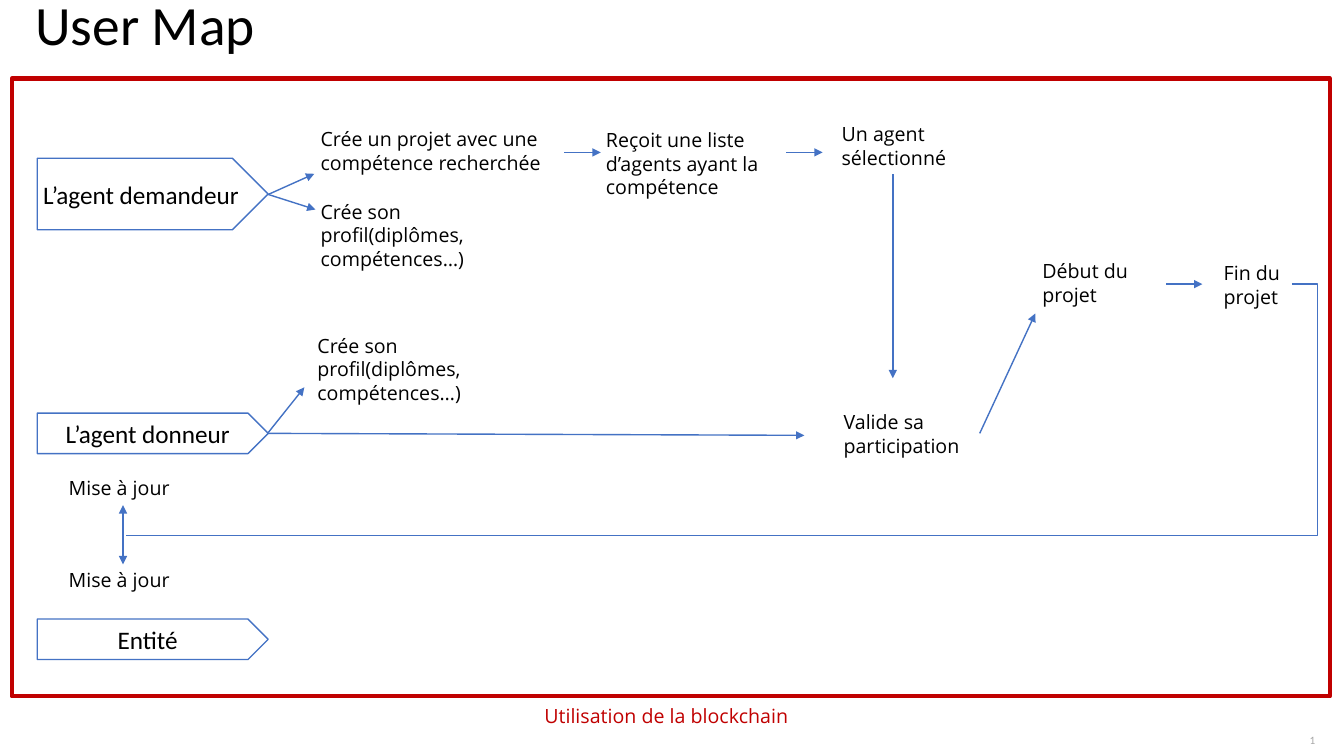
import pptx
import pptx.util
import pptx.dml.color
import pptx.enum.shapes
import pptx.enum.text
import pptx.oxml
import pptx.oxml.ns

Cm, Pt = pptx.util.Cm, pptx.util.Pt
RGBColor = pptx.dml.color.RGBColor
SHAPE = pptx.enum.shapes.MSO_SHAPE
CONNECTOR = pptx.enum.shapes.MSO_CONNECTOR
ALIGN = pptx.enum.text.PP_ALIGN
ANCHOR = pptx.enum.text.MSO_ANCHOR
qn = pptx.oxml.ns.qn

BLACK = RGBColor(0x00, 0x00, 0x00)
WHITE = RGBColor(0xFF, 0xFF, 0xFF)
BLUE = RGBColor(0x44, 0x72, 0xC4)
RED = RGBColor(0xC0, 0x00, 0x00)
GREY = RGBColor(0xA6, 0xA6, 0xA6)

deck = pptx.Presentation()
deck.slide_width, deck.slide_height = Cm(33.87), Cm(19.05)
page = deck.slides.add_slide(deck.slide_layouts[6])


def write(box, text, size, font, color, align=ALIGN.LEFT, anchor=ANCHOR.TOP, inset=0.13):
    frame = box.text_frame
    frame.word_wrap = True
    frame.vertical_anchor = anchor
    frame.margin_left = frame.margin_right = Cm(inset)
    frame.margin_top = frame.margin_bottom = Cm(inset)
    para = frame.paragraphs[0]
    para.alignment = align
    span = para.add_run()
    span.text = text
    span.font.size, span.font.name = Pt(size), font
    span.font.color.rgb = color
    return para


def connect(kind, start, end, arrow=True):
    line = page.shapes.add_connector(kind, *map(Cm, start + end))
    line.line.color.rgb = BLUE
    line.line.width = Pt(1)
    properties = line._element.spPr
    if arrow:
        properties.find(qn("a:ln")).append(pptx.oxml.parse_xml(
            '<a:tailEnd xmlns:a="http://schemas.openxmlformats.org/drawingml/2006/main"'
            ' type="triangle"/>'))
    properties.append(properties.makeelement(qn("a:effectLst"), {}))
    return line


# Title and page number
title = page.shapes.add_textbox(Cm(0.64), Cm(0), Cm(30.9), Cm(1.4))
write(title, "User Map", 39.6, "Calibri", BLACK,
      anchor=ANCHOR.MIDDLE, inset=0.25).line_spacing = 0.9
number = page.shapes.add_textbox(Cm(32.74), Cm(18.47), Cm(0.41), Cm(0.36))
write(number, "1", 8, "Calibri", GREY, ALIGN.RIGHT, ANCHOR.MIDDLE, 0)
number.text_frame.word_wrap = False

# Actors
for name, top, height in [
    ("L’agent demandeur ", 3.99, 1.8),
    ("L’agent donneur", 10.41, 1.02),
    ("Entité", 15.6, 1.02),
]:
    actor = page.shapes.add_shape(SHAPE.PENTAGON, Cm(0.94), Cm(top), Cm(5.82), Cm(height))
    actor.shadow.inherit = False
    actor.fill.solid()
    actor.fill.fore_color.rgb = WHITE
    actor.line.color.rgb = BLUE
    actor.line.width = Pt(1)
    write(actor, name, 18, "Calibri", BLACK, ALIGN.CENTER, ANCHOR.MIDDLE)

# Steps and the caption under the frame
PROFILE = "Crée son profil(diplômes, compétences…)"
UPDATE = "Mise à jour"
for text, left, top, width, height, color in [
    ("Crée un projet avec une compétence recherchée", 7.95, 3.07, 6.27, 1.45, BLACK),
    ("Reçoit une liste d’agents ayant la compétence", 15.14, 3.1, 4.65, 2.06, BLACK),
    ("Un agent sélectionné", 21.08, 2.95, 3.28, 1.45, BLACK),
    (PROFILE, 7.95, 4.9, 4.65, 2.06, BLACK),
    (PROFILE, 7.87, 8.28, 4.65, 2.06, BLACK),
    ("Valide sa participation", 21.13, 10.21, 3.61, 1.45, BLACK),
    ("Début du projet", 26.14, 6.4, 3.28, 1.45, BLACK),
    ("Fin du projet", 30.71, 6.45, 1.93, 1.45, BLACK),
    (UPDATE, 1.6, 11.86, 3.81, 0.86, BLACK),
    (UPDATE, 1.6, 14.19, 3.81, 0.86, BLACK),
    ("Utilisation de la blockchain ", 13.59, 17.6, 8.03, 0.86, RED),
]:
    step = page.shapes.add_textbox(Cm(left), Cm(top), Cm(width), Cm(height))
    write(step, text, 14, "Open Sans", color)

# Arrows between actors and steps
for start, end in [
    ((6.76, 4.9), (7.92, 4.38)),
    ((6.76, 4.9), (7.95, 5.28)),
    ((14.22, 3.84), (15.14, 3.84)),
    ((19.81, 3.84), (20.73, 3.84)),
    ((22.5, 4.39), (22.5, 9.53)),
    ((6.76, 10.9), (7.67, 9.76)),
    ((6.76, 10.92), (20.27, 10.97)),
    ((24.69, 10.92), (26.09, 7.9)),
    ((29.39, 7.16), (30.3, 7.16)),
    ((3.1, 13.49), (3.1, 12.73)),
    ((3.1, 13.49), (3.1, 14.22)),
]:
    connect(CONNECTOR.STRAIGHT, start, end)

# Return path from the end of the project to the updates
back = connect(CONNECTOR.ELBOW, (32.56, 7.16), (3.18, 13.49), arrow=False)
bends = back._element.spPr.find(qn("a:prstGeom")).find(qn("a:avLst"))
bends.append(bends.makeelement(qn("a:gd"), {"name": "adj1", "fmla": "val -2200"}))

# Blockchain frame
frame_box = page.shapes.add_shape(SHAPE.RECTANGLE, Cm(0.3), Cm(1.98), Cm(33.22), Cm(15.57))
frame_box.shadow.inherit = False
frame_box.fill.background()
frame_box.line.color.rgb = RED
frame_box.line.width = Pt(3)

deck.save("out.pptx")
